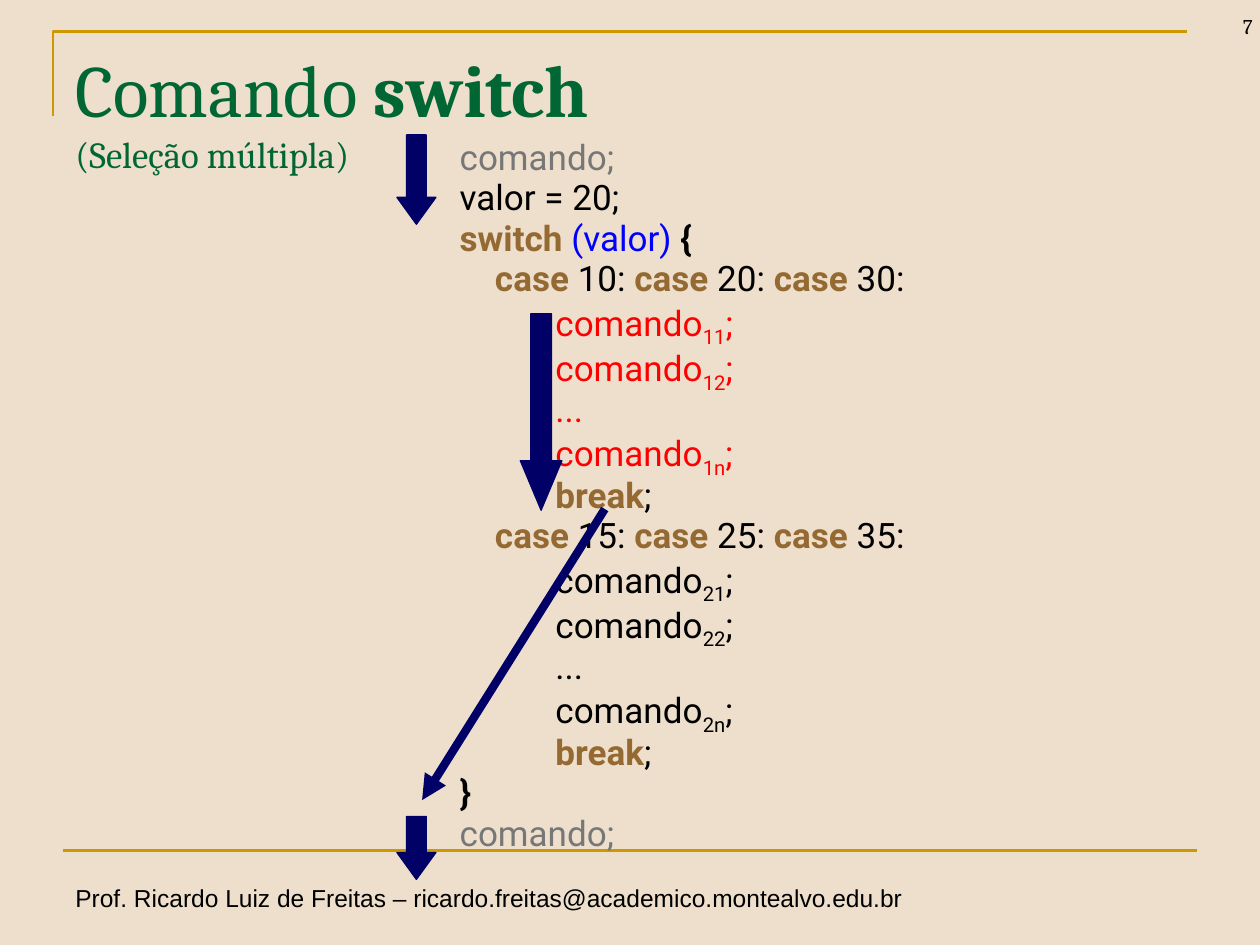
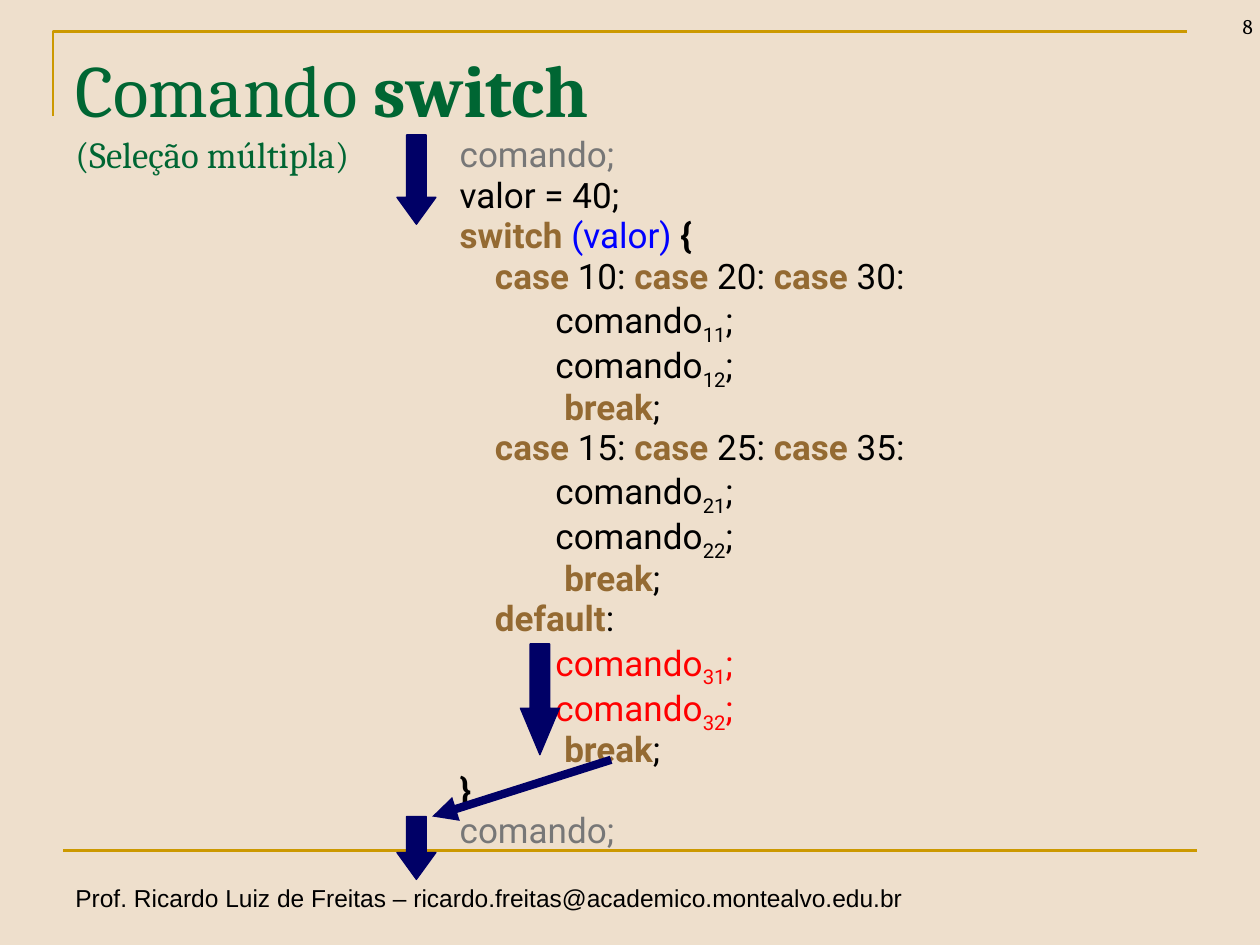
from dataclasses import dataclass

from lxml.etree import SubElement
from pptx import Presentation
from pptx.dml.color import RGBColor as RGB
from pptx.enum.shapes import MSO_CONNECTOR as CONNECTOR, MSO_SHAPE as SHAPE
from pptx.enum.text import MSO_ANCHOR as ANCHOR, MSO_AUTO_SIZE as AUTO, PP_ALIGN as ALIGN
from pptx.oxml.ns import qn
from pptx.util import Inches, Pt


@dataclass(frozen=True)
class Theme:
    """Colours, fonts and sizes shared by all slides."""
    paper: str = "EEDFCC"
    gold: str = "CC9900"
    green: str = "006633"
    navy: str = "000066"
    black: str = "000000"
    grey: str = "777777"
    brown: str = "946A32"
    blue: str = "0000FF"
    red: str = "FF0000"
    heading_font: str = "Cambria"
    code_font: str = "Roboto"
    footer_font: str = "Arial"
    title_size: float = 42
    subtitle_size: float = 21
    code_size: float = 20
    code_gap: float = 3.95
    footer_size: float = 14
    number_size: float = 12
    rule_width: float = 1.5
    flow_width: float = 4.75


THEME = Theme()
FOOTER = "Prof. Ricardo Luiz de Freitas – ricardo.freitas@academico.montealvo.edu.br"
# Left indents of the code levels, in inches
OUTER, CASE, BODY, BREAK = 0, 0.28, 0.76, 0.83
SHORT_HEAD, LONG_HEAD = 0.689, 1.191


def assign(target, formats):
    """Set every attribute named in a dict of format values."""
    for name, value in formats.items():
        setattr(target, name, value)


def add_run(paragraph, text, font, size, color, bold=False, subscript=False):
    """Append one formatted run to a paragraph."""
    run = paragraph.add_run()
    run.text = text
    assign(run.font, {"name": font, "size": Pt(size), "bold": bold})
    run.font.color.rgb = RGB.from_string(color)
    if subscript:
        run.font._element.set("baseline", "-25000")


def add_text_frame(slide, box, **formats):
    """Add a text box and return its wrapped text frame."""
    frame = slide.shapes.add_textbox(*map(Inches, box)).text_frame
    assign(frame, {"word_wrap": True, **formats})
    return frame


def set_line(shape, color, width):
    """Colour a shape's outline and give it a width."""
    shape.line.color.rgb = RGB.from_string(color)
    shape.line.width = Pt(width)


def add_line(slide, start, end, color, width, arrow=False):
    """Draw a straight line, with an arrowhead at its end if asked."""
    line = slide.shapes.add_connector(CONNECTOR.STRAIGHT, *map(Inches, start + end))
    set_line(line, color, width)
    if arrow:
        SubElement(line.line._get_or_add_ln(), qn("a:tailEnd"), type="triangle")
    SubElement(line._element.spPr, qn("a:effectLst"))


def add_flow_arrow(slide, box, head):
    """Draw a block arrow that marks the executed lines."""
    arrow = slide.shapes.add_shape(SHAPE.DOWN_ARROW, *map(Inches, box))
    arrow.adjustments[0], arrow.adjustments[1] = 0.5, head
    arrow.shadow.inherit = False
    arrow.fill.solid()
    arrow.fill.fore_color.rgb = RGB.from_string(THEME.navy)
    set_line(arrow, THEME.navy, 0.75)


def add_corner_rule(slide):
    """Draw the gold corner above the title."""
    builder = slide.shapes.build_freeform(Inches(0.42), Inches(0.92))
    corner = [(Inches(0.42), Inches(0.25)), (Inches(9.42), Inches(0.25))]
    builder.add_line_segments(corner, close=False)
    rule = builder.convert_to_shape()
    rule.shadow.inherit = False
    rule.fill.background()
    set_line(rule, THEME.gold, THEME.rule_width)


def add_slide_frame(prs, number):
    """Add a slide with footer, rules, page number and title."""
    slide = prs.slides.add_slide(prs.slide_layouts[6])
    footer = add_text_frame(slide, (0.5, 6.96, 6.86, 0.34), word_wrap=False,
                            auto_size=AUTO.SHAPE_TO_FIT_TEXT)
    add_run(footer.paragraphs[0], FOOTER, THEME.footer_font, THEME.footer_size, THEME.black)
    add_corner_rule(slide)
    add_line(slide, (0.5, 6.75), (9.5, 6.75), THEME.gold, THEME.rule_width)

    page = add_text_frame(slide, (9.29, -0.14, 0.75, 0.5), vertical_anchor=ANCHOR.BOTTOM)
    page.paragraphs[0].alignment = ALIGN.RIGHT
    add_run(page.paragraphs[0], str(number), THEME.heading_font, THEME.number_size, THEME.black)

    title = add_text_frame(slide, (0.5, 0.3, 9, 1.25)).paragraphs[0]
    heading = {"font": THEME.heading_font, "color": THEME.green}
    add_run(title, "Comando ", size=THEME.title_size, **heading)
    add_run(title, "switch", size=THEME.title_size, bold=True, **heading)
    title.add_line_break()
    add_run(title, "(Seleção múltipla)", size=THEME.subtitle_size, **heading)
    return slide


def plain(text, color=THEME.black, **formats):
    """Describe a run of code."""
    return {"text": text, "color": color, **formats}


def keyword(text):
    """Describe a bold keyword."""
    return plain(text, THEME.brown, bold=True)


def case_line(*values):
    """Describe a line of case labels."""
    runs = []
    for position, value in enumerate(values, 1):
        ending = ":" if position == len(values) else ": "
        runs += [keyword("case"), plain(f" {value}{ending}")]
    return CASE, runs


def command_lines(marks, color=THEME.black):
    """Describe numbered commands; a mark of '...' stands alone."""
    return [(BODY, [plain(mark, color)] if mark == "..." else
             [plain("comando", color), plain(mark, color, subscript=True), plain(";", color)])
            for mark in marks]


def break_line(indent):
    """Describe a break statement."""
    return indent, [keyword("break"), plain(";")]


def switch_code(value, branches):
    """Wrap the branches in the switch and its surrounding commands."""
    outside = (OUTER, [plain("comando;", THEME.grey)])
    return [
        outside,
        (OUTER, [plain(f"valor = {value};")]),
        (OUTER, [keyword("switch "), plain("(valor) ", THEME.blue), plain("{", bold=True)]),
        *branches,
        (OUTER, [plain("}", bold=True)]),
        outside,
    ]


def add_code(slide, top, lines):
    """Write indented, coloured lines of code."""
    frame = add_text_frame(slide, (3.55, top, 6.02, 5.76), auto_size=AUTO.SHAPE_TO_FIT_TEXT)
    for position, (indent, runs) in enumerate(lines):
        paragraph = frame.add_paragraph() if position else frame.paragraphs[0]
        assign(paragraph, {"line_spacing": 0.8, "space_before": Pt(THEME.code_gap)})
        paragraph._p.get_or_add_pPr().set("marL", str(Inches(indent)))
        for run in runs:
            add_run(paragraph, font=THEME.code_font, size=THEME.code_size, **run)


def add_flow(slide, branch_box, jump_start, jump_end):
    """Mark the way through the code, from entry to exit."""
    add_flow_arrow(slide, (3.15, 6.48, 0.31, 0.5), SHORT_HEAD)
    add_flow_arrow(slide, branch_box, LONG_HEAD)
    add_flow_arrow(slide, (3.15, 1.07, 0.31, 0.71), SHORT_HEAD)
    add_line(slide, jump_start, jump_end, THEME.navy, THEME.flow_width, arrow=True)


def add_matching_case(prs):
    """Slide 7: the value matches a case."""
    slide = add_slide_frame(prs, 7)
    branches = [
        case_line(10, 20, 30),
        *command_lines(["11", "12", "...", "1n"], THEME.red),
        break_line(BODY),
        case_line(15, 25, 35),
        *command_lines(["21", "22", "...", "2n"]),
        break_line(BODY),
    ]
    add_code(slide, 1.09, switch_code(20, branches))
    add_flow(slide, (4.13, 2.49, 0.33, 1.56), (4.8, 4.04), (3.35, 6.35))


def add_default_case(prs):
    """Slide 8: the value falls through to the default."""
    slide = add_slide_frame(prs, 8)
    branches = [
        case_line(10, 20, 30),
        *command_lines(["11", "12"]),
        break_line(BREAK),
        case_line(15, 25, 35),
        *command_lines(["21", "22"]),
        break_line(BREAK),
        (CASE, [keyword("default"), plain(":")]),
        *command_lines(["31", "32"], THEME.red),
        break_line(BREAK),
    ]
    add_code(slide, 1.07, switch_code(40, branches))
    add_flow(slide, (4.13, 5.11, 0.31, 0.88), (4.85, 6.03), (3.43, 6.48))


def main():
    """Build and save the presentation."""
    prs = Presentation()
    assign(prs, {"slide_width": Inches(10), "slide_height": Inches(7.5)})
    background = prs.slide_master.background.fill
    background.solid()
    background.fore_color.rgb = RGB.from_string(THEME.paper)
    add_matching_case(prs)
    add_default_case(prs)
    prs.save("out.pptx")


main()
